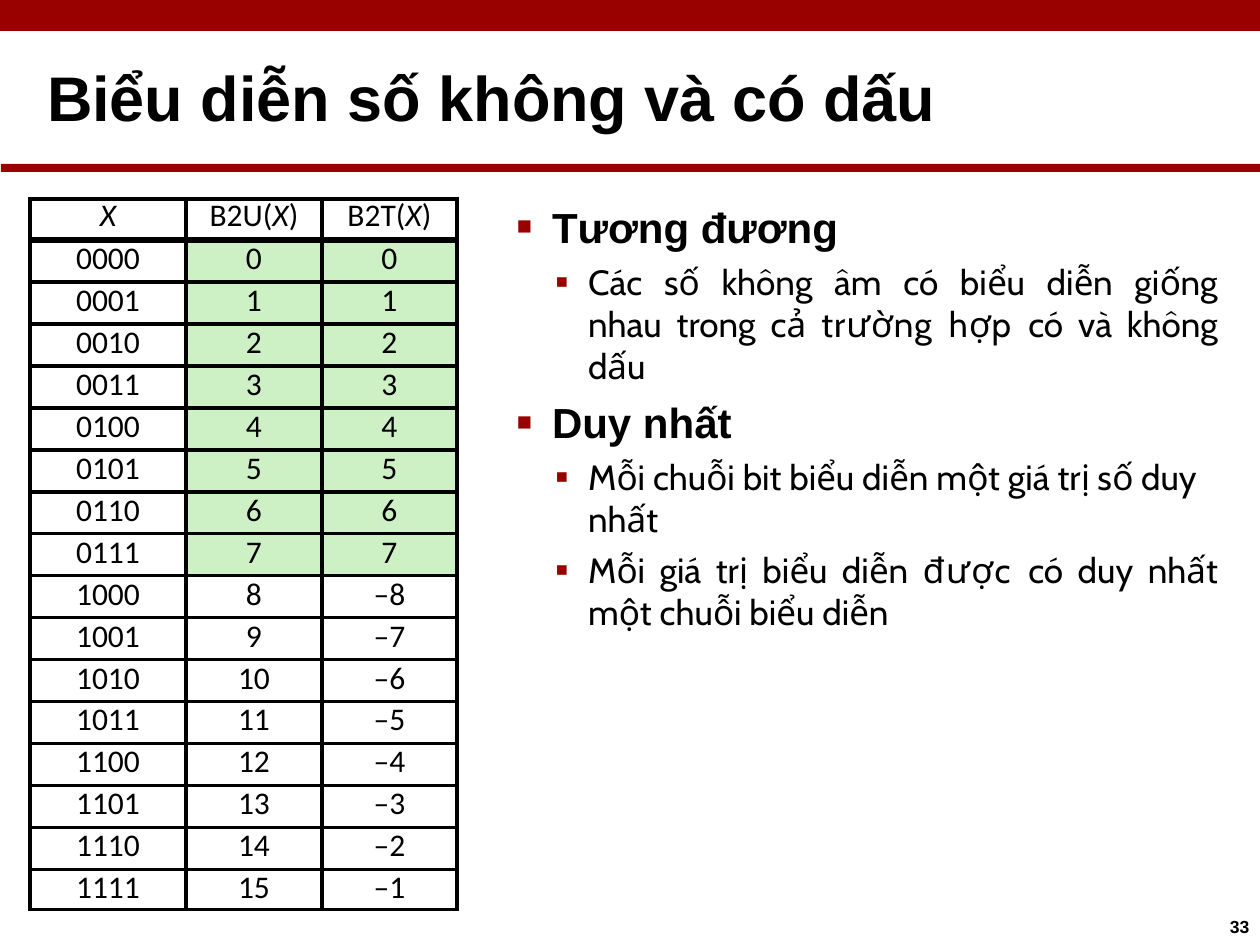
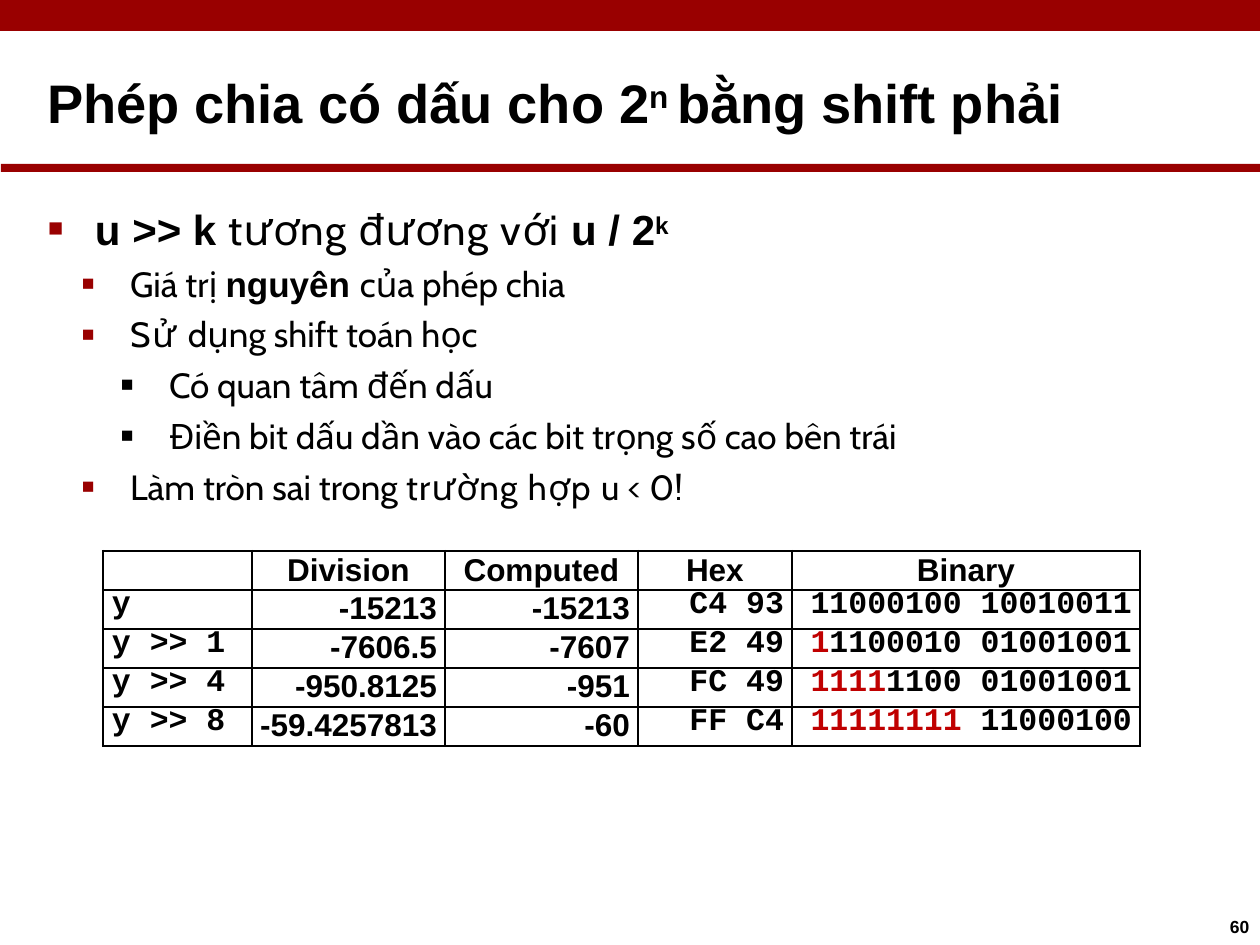
"""Build two lecture slides on signed and unsigned integers."""
from lxml.etree import SubElement
from pptx import Presentation
from pptx.dml.color import RGBColor
from pptx.enum.shapes import MSO_SHAPE as Shape
from pptx.enum.text import MSO_ANCHOR as Anchor, MSO_AUTO_SIZE as AutoSize, PP_ALIGN as Align
from pptx.oxml.ns import qn
from pptx.util import Pt

RED, BLACK, GREEN, DIGIT_RED = "990000", "000000", "CDF0C5", "C00000"
HEAD, BODY, CODE, TABLE = "Arial", "Cabin", "Courier New", "Calibri"
SQUARE, SMALL_SQUARE = ("■", 60), ("▪", 110)
ITALIC = {"italic": True}
NORMAL = {"face": BODY, "bold": False}

CODING = {
    "title": ["Biểu diễn số không và có dấu"],
    "title_size": 36,
    "number": "33",
    "body": (515, 193, 703, 441),
    "inset": 8,
    "indents": [(37, -35), (73, -33)],
    "bullets": [SQUARE, SMALL_SQUARE],
    "items": [
        (0, Align.LEFT, ["Tương đương"]),
        (1, Align.JUSTIFY, ["Các số không âm có biểu diễn giống\vnhau trong cả ",
                            ("trường hợp ", {"spc": 60}), "có và không dấu"]),
        (0, Align.LEFT, ["Duy nhất"]),
        (1, Align.LEFT, ["Mỗi chuỗi bit biểu diễn một giá trị số duy nhất"]),
        (1, Align.JUSTIFY, ["Mỗi giá trị biểu diễn ", ("được ", {"spc": 90}),
                            "có duy nhất\vmột chuỗi biểu diễn"]),
    ],
}
CODING_HEADER = [[("X", ITALIC)]] + [[name, ("X", ITALIC), ")"] for name in ("B2U(", "B2T(")]
CODING_ROWS = [(f"{n:04b}", str(n), str(n) if n < 8 else f"–{16 - n}") for n in range(16)]

DIVISION = {
    "title": ["Phép chia có dấu cho 2", ("n ", {"baseline": 26000}), "bằng shift phải"],
    "title_size": 31,
    "number": "60",
    "body": (42, 192, 892, 316),
    "inset": 11,
    "indents": [(53, -47), (88, -48), (127, -48)],
    "bullets": [SQUARE] * 3,
    "items": [
        (0, Align.LEFT, ["u >> k ", ("tương đương với ", {**NORMAL, "spc": 80}),
                         "u / 2", ("k", {"baseline": 24000})]),
        (1, Align.LEFT, ["Giá trị ", ("nguyên ", {"face": HEAD, "bold": True}), "của phép chia"]),
        (1, Align.LEFT, [("Sử ", {"spc": 110}), "dụng shift toán học"]),
        (2, Align.LEFT, ["Có quan tâm đến dấu"]),
        (2, Align.LEFT, ["Điền bit dấu dần vào các bit trọng số cao bên trái"]),
        (1, Align.LEFT, ["Làm tròn sai trong ", ("trường hợp ", {"spc": 70}), "u < 0!"]),
    ],
}
DIVISION_HEADER = ["", "Division", "Computed", "Hex", "Binary"]
DIVISION_ROWS = [
    (0, "-15213", "-15213", "C4 93", "11000100 10010011"),
    (1, "-7606.5", "-7607", "E2 49", "11100010 01001001"),
    (4, "-950.8125", "-951", "FC 49", "11111100 01001001"),
    (8, "-59.4257813", "-60", "FF C4", "11111111 11000100"),
]


def px(count):
    return round(count * 914400 / 126)


def rgb(code):
    return RGBColor.from_string(code)


def place(shape, left, top, width, height):
    shape.left, shape.top, shape.width, shape.height = map(px, (left, top, width, height))


def set_margins(holder, left=0, top=0, right=0, bottom=0):
    holder.margin_left, holder.margin_top = px(left), px(top)
    holder.margin_right, holder.margin_bottom = px(right), px(bottom)


def write(para, spans, size, face, bold=False, align=Align.LEFT, leading=None):
    para.alignment = align
    para.space_before = para.space_before or Pt(0)
    para.line_spacing = Pt(leading) if leading else 1.0
    font = para.font
    font.size, font.name, font.bold = Pt(size), face, bold
    font.color.rgb = rgb(BLACK)
    for item in spans:
        text, style = (item, {}) if isinstance(item, str) else item
        for index, line in enumerate(text.split("\v")):
            if index:
                para.add_line_break()
            span = para.add_run()
            span.text = line
            if "face" in style:
                span.font.name = style["face"]
            if "color" in style:
                span.font.color.rgb = rgb(style["color"])
            for name in ("bold", "italic"):
                if name in style:
                    setattr(span.font, name, style[name])
            for name in ("spc", "baseline"):
                if name in style:
                    span.font._element.set(name, str(style[name]))


def set_bullet(para, bullet, indent, color):
    char, percent = bullet
    props = para._p.get_or_add_pPr()
    props.set("marL", str(px(indent[0])))
    props.set("indent", str(px(indent[1])))
    SubElement(SubElement(props, qn("a:buClr")), qn("a:srgbClr"), val=color)
    SubElement(props, qn("a:buSzPct"), val=str(percent * 1000))
    SubElement(props, qn("a:buFont"), typeface=HEAD)
    SubElement(props, qn("a:buChar"), char=char)


def add_band(page, left, top, width, height):
    band = page.shapes.add_shape(Shape.RECTANGLE, *map(px, (left, top, width, height)))
    band.shadow.inherit = False
    band.fill.solid()
    band.fill.fore_color.rgb = rgb(RED)
    band.line.fill.background()


def add_page(deck, content):
    page = deck.slides.add_slide(deck.slide_layouts[1])
    add_band(page, 0, 0, 1260, 31)
    add_band(page, 1, 164, 1259, 8)

    title = page.shapes.title
    place(title, 24, 58, 1236, 82)
    frame = title.text_frame
    frame.auto_size, frame.vertical_anchor = AutoSize.NONE, Anchor.BOTTOM
    set_margins(frame, left=23, bottom=6)
    write(frame.paragraphs[0], content["title"], content["title_size"], HEAD, True)

    body = page.placeholders[1]
    place(body, *content["body"])
    frame = body.text_frame
    frame.auto_size, frame.vertical_anchor = AutoSize.NONE, Anchor.TOP
    set_margins(frame, top=content["inset"])
    for index, (level, align, spans) in enumerate(content["items"]):
        para = frame.add_paragraph() if index else frame.paragraphs[0]
        para.level = level
        set_bullet(para, content["bullets"][level], content["indents"][level],
                   BLACK if level == 2 else RED)
        if index:
            para.space_before = Pt(5 if level else 5.8)
        if level:
            write(para, spans, 20, BODY, align=align)
        else:
            write(para, spans, 24, HEAD, True, align)

    box = page.shapes.add_textbox(*map(px, (1225, 916, 28, 24)))
    box.text_frame.word_wrap = True
    set_margins(box.text_frame, left=5)
    write(box.text_frame.paragraphs[0], [content["number"]], 10, HEAD, True)
    return page


def add_grid(page, left, top, widths, heights):
    frame = page.shapes.add_table(len(heights), len(widths),
                                  *map(px, (left, top, sum(widths), sum(heights))))
    grid = frame.table
    grid.first_row = grid.horz_banding = False
    for column, width in zip(grid.columns, widths):
        column.width = px(width)
    for row, height in zip(grid.rows, heights):
        row.height = px(height)
    return grid


def format_cell(cell, rule, top=None, bottom=None, fill=None):
    props = cell._tc.get_or_add_tcPr()
    for side, width in zip("LRTB", (rule, rule, top or rule, bottom or rule)):
        line = SubElement(props, qn(f"a:ln{side}"), w=str(Pt(width)))
        SubElement(SubElement(line, qn("a:solidFill")), qn("a:srgbClr"), val=BLACK)
    if fill:
        cell.fill.solid()
        cell.fill.fore_color.rgb = rgb(fill)
    else:
        cell.fill.background()
    set_margins(cell)


def add_coding_table(page):
    grid = add_grid(page, 30, 199, [156, 136, 135], [41] + [42] * 15 + [40])
    rows = [CODING_HEADER] + [[[text] for text in row] for row in CODING_ROWS]
    for r, row in enumerate(rows):
        for c, spans in enumerate(row):
            cell = grid.cell(r, c)
            format_cell(cell, 2.25, top=4.5 if r == 1 else None, bottom=4.5 if r == 0 else None,
                        fill=GREEN if c and 1 <= r <= 8 else None)
            write(cell.text_frame.paragraphs[0], spans, 18, TABLE, align=Align.CENTER,
                  leading=21.6 if r else 20.6)


def add_division_table(page):
    grid = add_grid(page, 103, 551, [149, 193, 193, 154, 348], [39] * 5)
    rows = [[[text] if text else [] for text in DIVISION_HEADER]]
    for shift, quotient, computed, hexa, binary in DIVISION_ROWS:
        label = f"y >> {shift}" if shift else "y"
        bits = [(binary[:shift], {"color": DIGIT_RED})] if shift else []
        rows.append([[label], [quotient], [computed], [hexa], bits + [binary[shift:]]])
    for r, row in enumerate(rows):
        for c, spans in enumerate(row):
            cell = grid.cell(r, c)
            format_cell(cell, 1.5)
            para = cell.text_frame.paragraphs[0]
            if r == 0:
                write(para, spans, 18, HEAD, True, Align.CENTER, 21)
                continue
            set_margins(cell, left=0 if c else 9, right=8 if c else 0)
            face, leading = (HEAD, 20.9) if c in (1, 2) else (CODE, 19.1)
            write(para, spans, 18, face, True, Align.RIGHT if c else Align.LEFT, leading)


def main():
    deck = Presentation()
    deck.slide_width, deck.slide_height = px(1260), px(945)
    add_coding_table(add_page(deck, CODING))
    add_division_table(add_page(deck, DIVISION))
    deck.save("out.pptx")


if __name__ == "__main__":
    main()
